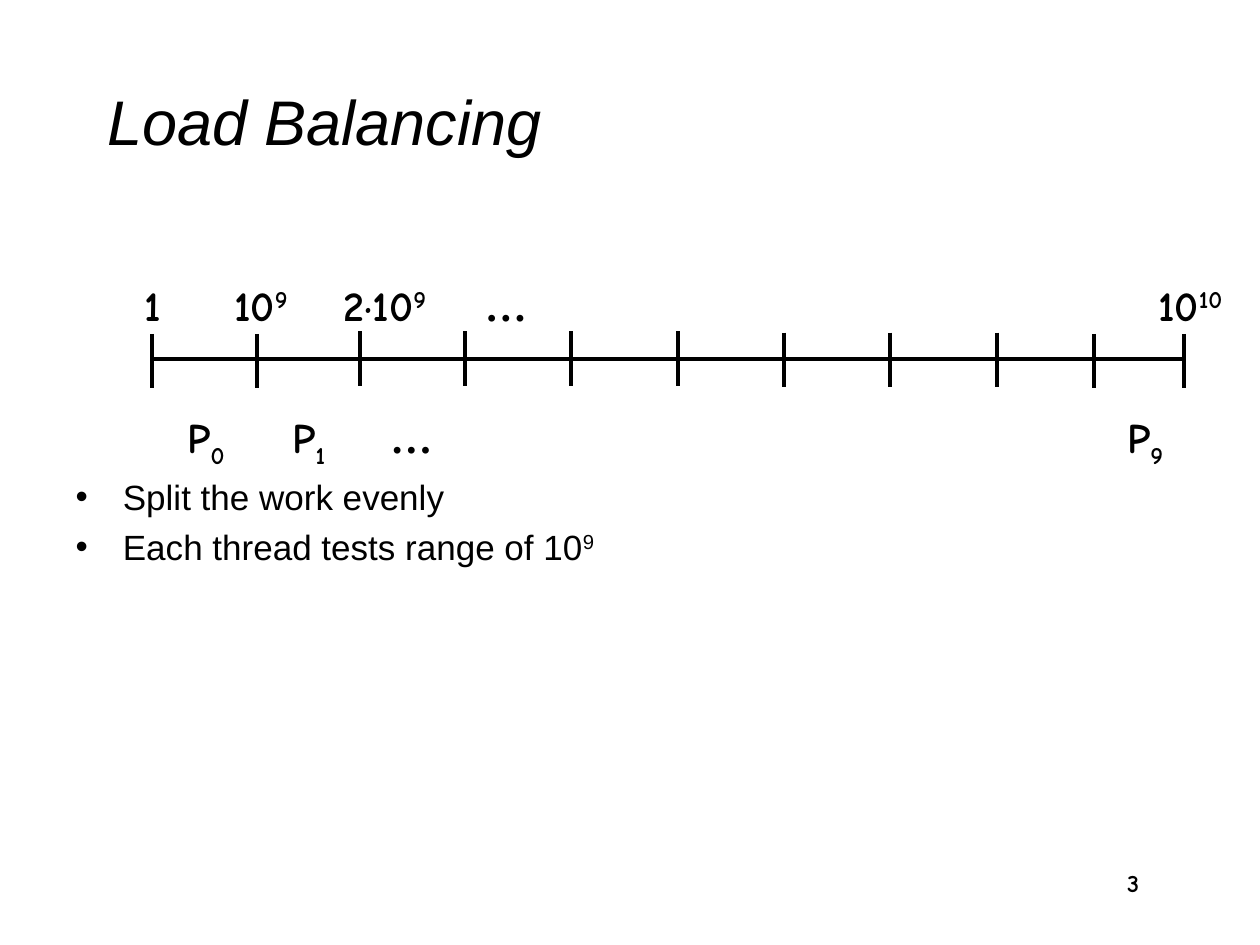
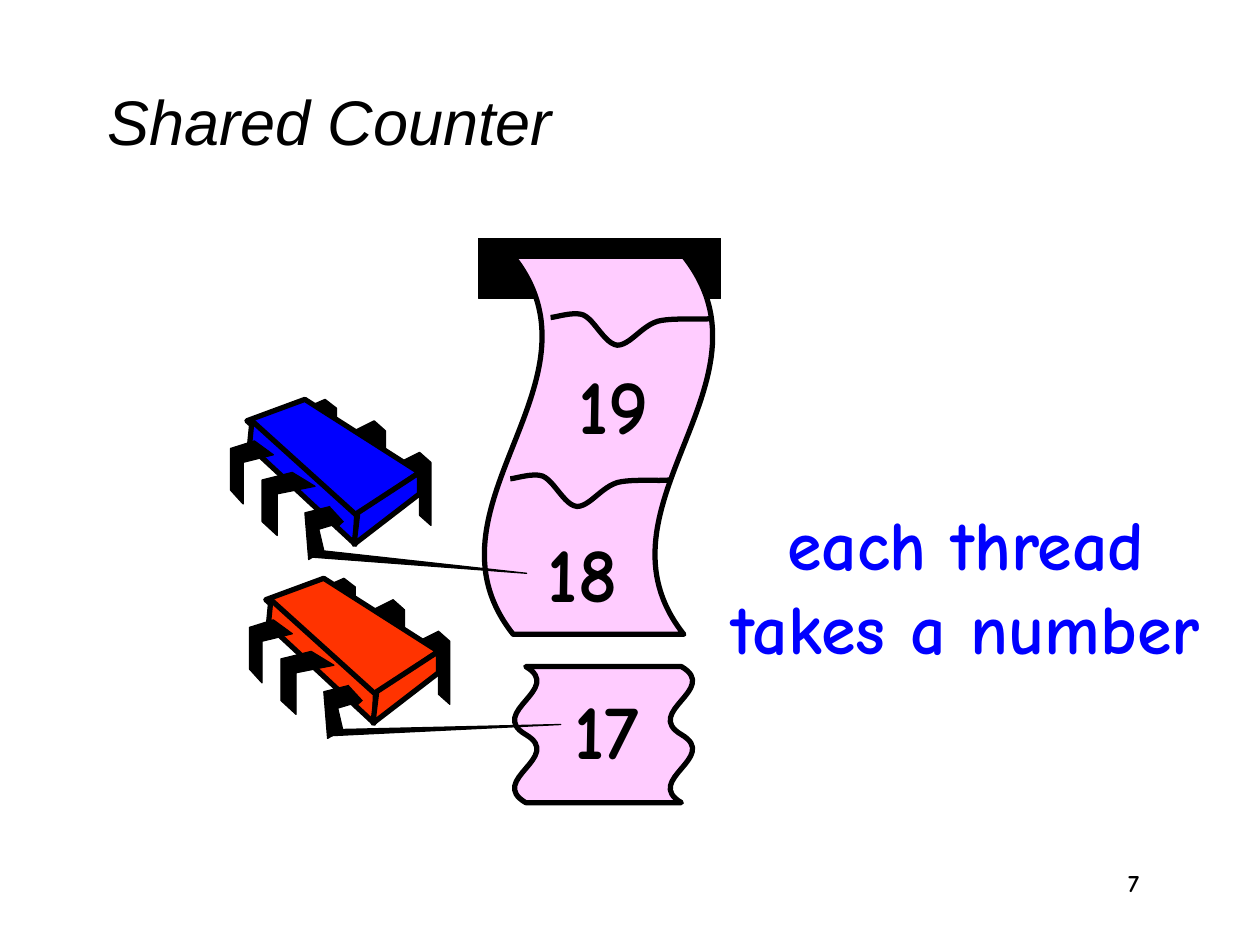
from lxml import etree
from pptx import Presentation
from pptx.dml.color import RGBColor
from pptx.enum.shapes import MSO_CONNECTOR, MSO_SHAPE
from pptx.enum.text import MSO_ANCHOR, MSO_AUTO_SIZE, PP_ALIGN
from pptx.oxml.ns import qn
from pptx.util import Emu, Pt

EMU_PER_PX = 9144
STRAIGHT = MSO_CONNECTOR.STRAIGHT
RECTANGLE, WAVE, DOUBLE_WAVE = MSO_SHAPE.RECTANGLE, MSO_SHAPE.WAVE, MSO_SHAPE.DOUBLE_WAVE
LEFT, CENTER, RIGHT = PP_ALIGN.LEFT, PP_ALIGN.CENTER, PP_ALIGN.RIGHT
MIDDLE, TOP = MSO_ANCHOR.MIDDLE, MSO_ANCHOR.TOP
FIT_SHAPE, NO_FIT = MSO_AUTO_SIZE.SHAPE_TO_FIT_TEXT, MSO_AUTO_SIZE.NONE

BLACK, BLUE, RED, PINK = "000000", "0000FF", "FF3300", "FFCCFF"
PLAIN_FONT, HAND_FONT, DOTS_FONT = "Arial", "Comic Neue", "Times New Roman"
SUPERSCRIPT, SUBSCRIPT = 30, -25
THIN, MEDIUM, THICK = 0.75, 2.25, 3

TICKS = [(121, 265), (204, 265), (286, 263), (369, 263), (453, 263), (538, 263),
         (622, 264), (706, 264), (791, 264), (868, 265), (940, 265)]
RANGE_LABELS = [
    ([("1", 0)], (103, 217, 35, 50)),
    ([("10", 0), ("9", SUPERSCRIPT)], (169, 217, 69, 50)),
    ([("2·10", 0), ("9", SUPERSCRIPT)], (250, 217, 98, 50)),
    ([("10", 0), ("10", SUPERSCRIPT)], (901, 217, 79, 50)),
    ([("P", 0), ("0", SUBSCRIPT)], (137, 322, 51, 50)),
    ([("P", 0), ("1", SUBSCRIPT)], (220, 322, 48, 50)),
    ([("P", 0), ("9", SUBSCRIPT)], (882, 322, 51, 50)),
]
DOTS_FRAMES = [(300, 322, 53, 50), (375, 217, 53, 50)]

BACK_PINS = [
    [(317, 367), (333, 359), (342, 367), (342, 417), (333, 409), (333, 375), (317, 384)],
    [(281, 342), (297, 334), (306, 342), (306, 392), (297, 384), (297, 350), (281, 359)],
    [(242, 324), (258, 317), (267, 324), (267, 367), (258, 360), (258, 331), (242, 338)],
]
BODY_FACES = [
    [(242, 317), (333, 375), (282, 410), (196, 334)],
    [(200, 334), (283, 409), (282, 432), (198, 354)],
    [(333, 375), (333, 392), (281, 432), (284, 407)],
]
FRONT_PINS = [
    [(232, 375), (250, 386), (220, 392), (220, 425), (208, 414), (208, 381)],
    [(202, 350), (217, 361), (193, 367), (193, 400), (183, 389), (183, 356)],
]
ARM_BASE = [(245, 442), (255, 437)]
ELBOW = [(262, 402), (242, 407), (245, 444), (257, 437), (253, 420), (273, 414)]
TEAR = [(437, 252), (441, 252), (455, 247), (463, 250), (472, 254), (480, 273), (490, 274),
        (500, 274), (509, 259), (522, 255), (534, 252), (555, 254), (563, 253)]


def px(length):
    """Turn pixels into EMU."""
    return Emu(round(length * EMU_PER_PX))


def color(hex_code):
    """Turn a hex string into a colour."""
    return RGBColor.from_string(hex_code)


def write_runs(para, runs, font, size, ink=BLACK, bold=False, italic=False):
    """Append (text, baseline percent) runs to a paragraph in one style."""
    for text, baseline in runs:
        span = para.add_run()
        span.text = text
        span.font.name = font
        span.font.size = Pt(size)
        span.font.bold = bold
        span.font.italic = italic
        span.font.color.rgb = color(ink)
        if baseline:
            span._r.get_or_add_rPr().set("baseline", str(baseline * 1000))


def place(box, frame):
    """Move a placeholder to a frame."""
    box.left, box.top, box.width, box.height = map(px, frame)
    box.text_frame.auto_size = NO_FIT


def add_label(page, runs, frame, size, font=HAND_FONT, align=RIGHT, ink=BLACK, wrap=False):
    """Add a bold text box."""
    box = page.shapes.add_textbox(*map(px, frame))
    box.text_frame.word_wrap = wrap
    box.text_frame.auto_size = FIT_SHAPE
    para = box.text_frame.paragraphs[0]
    para.alignment = align
    write_runs(para, runs, font, size, ink, bold=True)


def add_page(deck, layout_index, title, number):
    """Add a slide with its title and page number."""
    page = deck.slides.add_slide(deck.slide_layouts[layout_index])
    heading = page.shapes.title
    place(heading, (75, 33, 850, 125))
    heading.text_frame.vertical_anchor = MIDDLE
    para = heading.text_frame.paragraphs[0]
    para.alignment = LEFT
    write_runs(para, [(title, 0)], PLAIN_FONT, 36, italic=True)
    add_label(page, [(number, 0)], (706, 684, 208, 50), 14, wrap=True)
    return page


def fill_list(page, items, frame):
    """Fill the body placeholder with bulleted items."""
    body = page.placeholders[1]
    place(body, frame)
    body.text_frame.vertical_anchor = TOP
    for index, runs in enumerate(items):
        para = body.text_frame.add_paragraph() if index else body.text_frame.paragraphs[0]
        para.space_before = Pt(4.6 if index else 0)
        write_runs(para, runs, PLAIN_FONT, 20)


def add_line(page, start, end):
    """Add a straight black line."""
    line = page.shapes.add_connector(STRAIGHT, *map(px, start + end))
    line.line.color.rgb = color(BLACK)
    line.line.width = Pt(MEDIUM)
    etree.SubElement(line._element.spPr, qn("a:effectLst"))


def paint(shape, fill, width):
    """Give a shape its fill and a black outline."""
    shape.shadow.inherit = False
    if fill:
        shape.fill.solid()
        shape.fill.fore_color.rgb = color(fill)
    else:
        shape.fill.background()
    shape.line.color.rgb = color(BLACK)
    shape.line.width = Pt(width)


def add_preset(page, kind, frame, fill, width, rotation=0, adjustments=()):
    """Add a painted preset shape."""
    shape = page.shapes.add_shape(kind, *map(px, frame))
    shape.rotation = rotation
    for index, value in enumerate(adjustments):
        shape.adjustments[index] = value
    paint(shape, fill, width)


def add_outline(page, points, fill, width, shift=(0, 0), closed=True):
    """Add a painted freeform through shifted points."""
    corners = [(px(x + shift[0]), px(y + shift[1])) for x, y in points]
    builder = page.shapes.build_freeform(*corners[0], scale=1.0)
    builder.add_line_segments(corners[1:], close=closed)
    shape = builder.convert_to_shape()
    paint(shape, fill, width)
    return shape


def trace_curve(controls, steps=12):
    """Return points along a chain of cubic curves."""
    points = [controls[0]]
    for first in range(0, len(controls) - 1, 3):
        bend = controls[first:first + 4]
        for step in range(1, steps + 1):
            t = step / steps
            weights = ((1 - t) ** 3, 3 * t * (1 - t) ** 2, 3 * t * t * (1 - t), t ** 3)
            points.append(tuple(sum(weight * point[axis] for weight, point in zip(weights, bend))
                                for axis in (0, 1)))
    return points


def add_chip(page, fill, shift, arm_tip):
    """Add a processor chip whose arm reaches to a ticket."""
    for faces, face_fill, width in ((BACK_PINS, BLACK, THIN), (BODY_FACES, fill, THICK),
                                    (FRONT_PINS, BLACK, THIN)):
        for points in faces:
            add_outline(page, points, face_fill, width, shift)
    tip = (arm_tip[0] - shift[0], arm_tip[1] - shift[1])
    add_outline(page, [ARM_BASE[0], tip, ARM_BASE[1]], BLACK, THIN, shift, closed=False)
    elbow = add_outline(page, ELBOW, BLACK, THIN, shift, closed=False)
    etree.SubElement(elbow._element.spPr.find(qn("a:ln")), qn("a:tailEnd"), type="triangle")


def build_load_balancing(deck):
    """Build the slide that splits a number range among threads."""
    page = add_page(deck, 1, "Load Balancing", "3")
    fill_list(page, [[("Split the work evenly", 0)],
                     [("Each thread tests range of 10", 0), ("9", SUPERSCRIPT)]],
              (50, 372, 900, 321))
    add_line(page, (121, 285), (939, 285))
    for x, top in TICKS:
        add_line(page, (x, top), (x, top + 43))
    for runs, frame in RANGE_LABELS:
        add_label(page, runs, frame, 24)
    for frame in DOTS_FRAMES:
        add_label(page, [("…", 0)], frame, 24, DOTS_FONT, LEFT)


def build_shared_counter(deck):
    """Build the slide where chips take numbered tickets."""
    page = add_page(deck, 5, "Shared Counter", "7")
    add_preset(page, RECTANGLE, (380, 189, 192, 48), BLACK, THIN)
    add_preset(page, WAVE, (325, 262, 300, 183), PINK, THICK, 90, (0.13, 0))
    add_preset(page, DOUBLE_WAVE, (425, 512, 108, 142), PINK, THICK, 90, (0.065, 0))
    for number, left, top in (("17", 432, 537), ("18", 415, 412), ("19", 440, 279)):
        add_label(page, [(number, 0)], (left, top, 85, 83), 44)
    for shift in ((0, 0), (-32, 128)):
        add_outline(page, trace_curve(TEAR), None, THICK, shift, closed=False)
    add_label(page, [("each thread takes a number", 0)], (550, 392, 433, 143), 40,
              align=CENTER, ink=BLUE, wrap=True)
    add_chip(page, BLUE, (0, 0), (418, 455))
    add_chip(page, RED, (15, 142), (445, 575))


def main():
    """Build and save the deck."""
    deck = Presentation()
    deck.slide_width, deck.slide_height = px(1000), px(750)
    build_load_balancing(deck)
    build_shared_counter(deck)
    deck.save("out.pptx")


if __name__ == "__main__":
    main()
